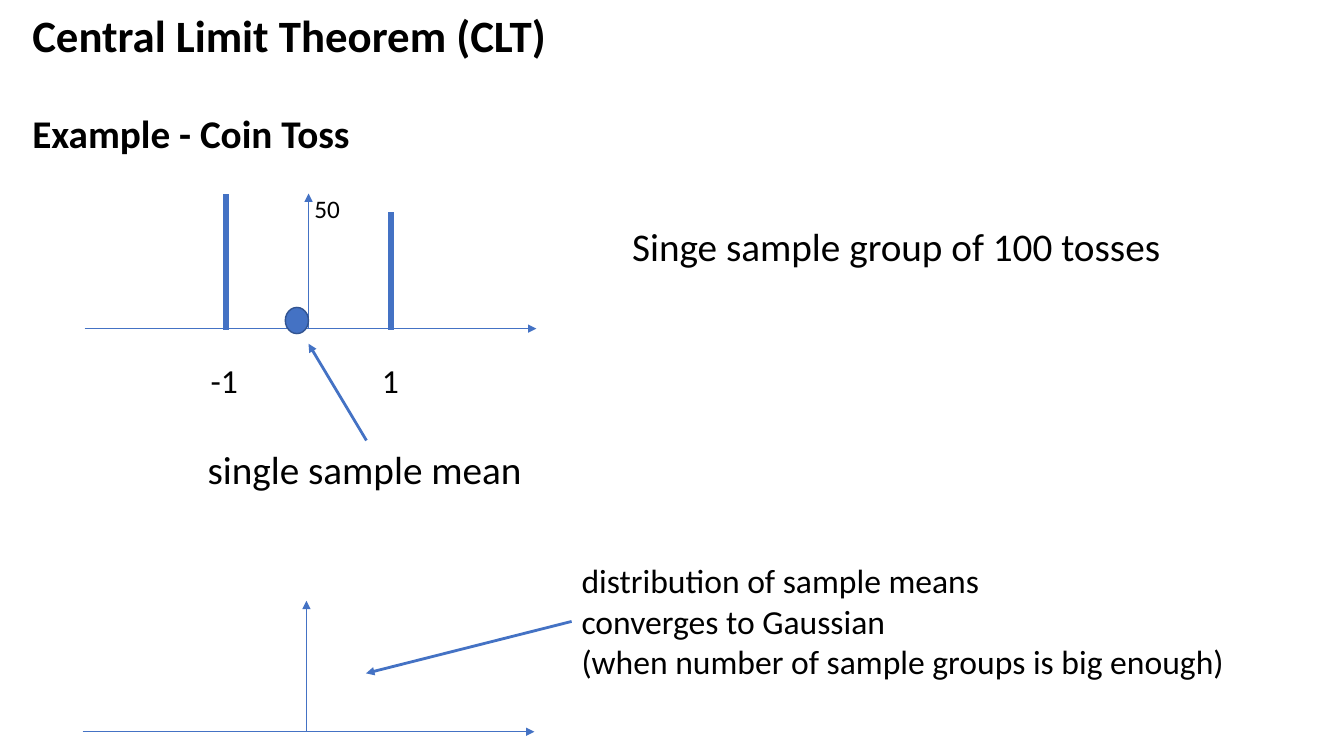
from lxml import etree
from pptx import Presentation
from pptx.dml.color import RGBColor
from pptx.enum import shapes, text
from pptx.oxml import ns
from pptx.util import Inches, Pt

BLUE = RGBColor(0x44, 0x72, 0xC4)
DARK_BLUE = RGBColor(0x32, 0x54, 0x91)
BLACK = RGBColor(0, 0, 0)


class SlideBuilder:
    """Holds the style and the current slide."""

    font = "Calibri"

    def __init__(self, s):
        self.s = s

    def set_text(self, sp, lines, sizes, bold=False):
        tf = sp.text_frame
        tf.word_wrap = True
        tf.vertical_anchor = text.MSO_ANCHOR.TOP
        tf.text = "\n".join(lines)
        for p, size in zip(tf.paragraphs, sizes):
            p.alignment = text.PP_ALIGN.LEFT
            p.font.name = self.font
            p.font.size = Pt(size)
            p.font.bold = bold
            p.font.color.rgb = BLACK

    def title(self, lines, sizes, x, y, w, h, gap):
        sp = self.s.shapes.title
        sp.left, sp.top, sp.width, sp.height = map(Inches, (x, y, w, h))
        self.set_text(sp, lines, sizes, bold=True)
        sp.text_frame.auto_size = text.MSO_AUTO_SIZE.NONE
        sp.text_frame.paragraphs[1].space_before = Pt(gap)

    def label(self, lines, size, x, y, w, h):
        sp = self.s.shapes.add_textbox(*map(Inches, (x, y, w, h)))
        self.set_text(sp, lines, [size] * len(lines))
        sp.text_frame.auto_size = text.MSO_AUTO_SIZE.SHAPE_TO_FIT_TEXT
        return sp

    def line(self, x1, y1, x2, y2, width, arrow=False):
        sp = self.s.shapes.add_connector(
            shapes.MSO_CONNECTOR.STRAIGHT, *map(Inches, (x1, y1, x2, y2)))
        sp.line.color.rgb = BLUE
        sp.line.width = Pt(width)
        if arrow:
            ln = sp._element.spPr.find(ns.qn("a:ln"))
            etree.SubElement(ln, ns.qn("a:tailEnd"), type="triangle")
        etree.SubElement(sp._element.spPr, ns.qn("a:effectLst"))
        return sp

    def axes(self, x, y, height):
        self.line(x - 2.22, y, x + 2.26, y, 0.5, arrow=True)
        self.line(x, y, x, y - height, 0.5, arrow=True)

    def dot(self, x, y, w, h):
        sp = self.s.shapes.add_shape(shapes.MSO_SHAPE.OVAL, *map(Inches, (x, y, w, h)))
        sp.shadow.inherit = False
        sp.fill.solid()
        sp.fill.fore_color.rgb = BLUE
        sp.line.color.rgb = DARK_BLUE
        sp.line.width = Pt(1)


def main():
    prs = Presentation()
    prs.slide_width, prs.slide_height = Inches(13.33), Inches(7.5)
    b = SlideBuilder(prs.slides.add_slide(prs.slide_layouts[5]))

    # Heading
    b.title(["Central Limit Theorem (CLT)", "Example - Coin Toss"], [32, 28],
            0.22, 0.03, 6.1, 1.58, gap=34)

    # One sample group: axes, bars and mean
    b.axes(3.06, 3.26, 1.34)
    for x, top in ((3.88, 2.1), (2.24, 1.92)):
        b.line(x, 3.27, x, top, 4)
    b.dot(2.83, 3.05, 0.23, 0.26)
    b.label(["50"], 18, 3.02, 1.87, 0.46, 0.4)
    b.label(["-1"], 24, 1.99, 3.52, 0.49, 0.5)
    b.label(["1"], 24, 3.69, 3.52, 0.37, 0.5)
    b.label(["Singe sample group of 100 tosses"], 28, 6.17, 2.16, 5.69, 0.57)
    mean = b.label(["single sample mean"], 28, 1.96, 4.37, 3.35, 0.57)
    b.line(3.63, 4.37, 3.06, 3.41, 2, arrow=True).begin_connect(mean, 0)

    # Distribution of the sample means
    b.axes(3.04, 7.26, 1.3)
    note = b.label(["distribution of sample means", "converges to Gaussian",
                    "(when number of sample groups is big enough)"],
                   24, 5.67, 5.51, 7.66, 1.31)
    b.line(5.67, 6.17, 3.63, 6.68, 2, arrow=True).begin_connect(note, 1)

    prs.save("out.pptx")


if __name__ == "__main__":
    main()
